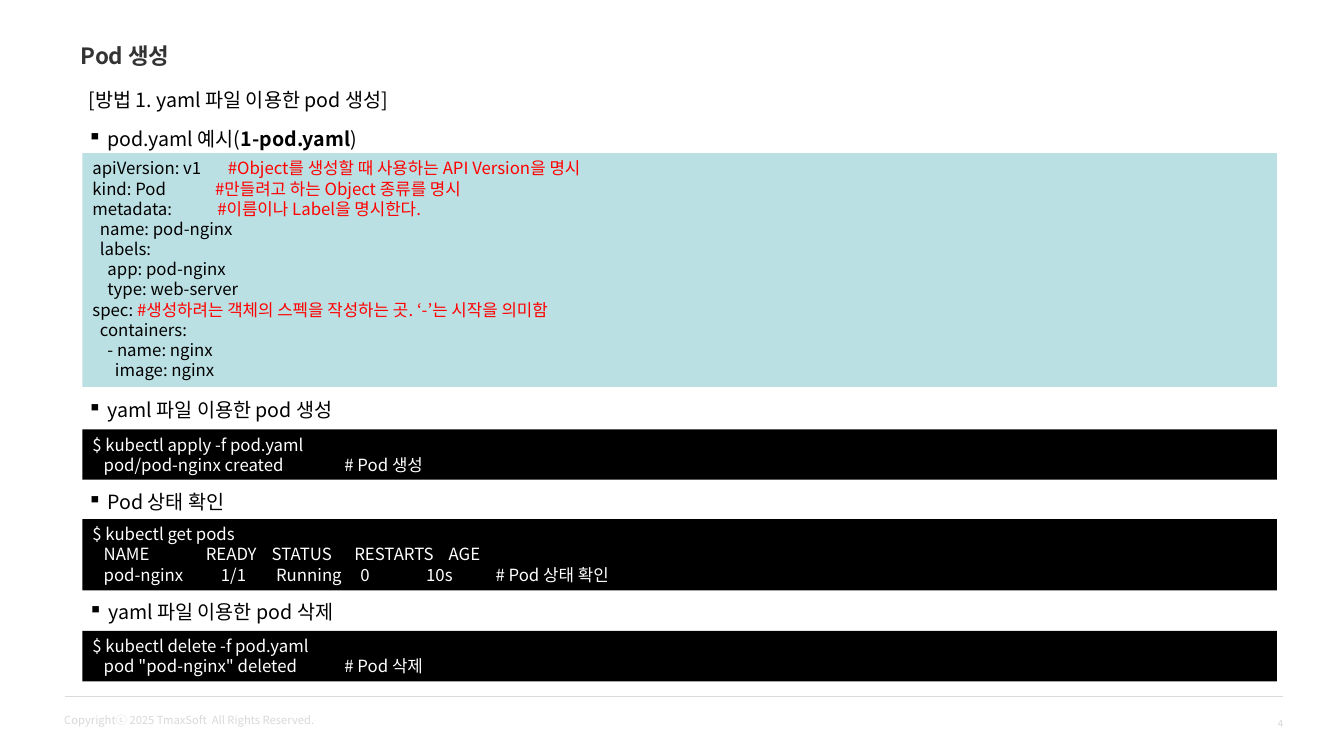
from dataclasses import dataclass
from typing import NamedTuple

from lxml.etree import SubElement
from pptx import Presentation
from pptx.dml.color import RGBColor
from pptx.enum.shapes import MSO_CONNECTOR, MSO_SHAPE
from pptx.enum.text import MSO_ANCHOR, MSO_AUTO_SIZE, PP_ALIGN
from pptx.oxml.ns import qn
from pptx.slide import Slide
from pptx.text.text import TextFrame
from pptx.util import Cm, Pt


@dataclass(frozen=True)
class Theme:
    font: str = "Noto Sans CJK KR"
    title: str = "333333"
    ink: str = "000000"
    paper: str = "FFFFFF"
    note: str = "FF0000"
    yaml: str = "BBE0E3"
    rule: str = "DBDBDB"
    foot: str = "D9D9D9"
    title_size: int = 16
    head_size: int = 14
    code_size: int = 12
    foot_size: int = 8
    page_size: int = 7


class Run(NamedTuple):
    text: str
    color: str
    bold: bool = False


class Box(NamedTuple):
    left: float
    top: float
    width: float
    height: float


class Head(NamedTuple):
    top: float
    runs: list[Run]
    space: float = 1.0
    bullet: bool = True
    left: float = 1.96


class Panel(NamedTuple):
    top: float
    height: float
    fill: str
    lines: list[list[Run]]


THEME = Theme()


def plain(text: str, color: str = THEME.ink) -> list[list[Run]]:
    """Turn each line of text into one run."""
    return [[Run(line, color)] for line in text.splitlines()]


def noted(text: str) -> list[list[Run]]:
    """Colour what follows the # of each line as a note."""
    lines = []
    for line in text.splitlines():
        code, mark, note = line.partition("#")
        runs = [Run(code, THEME.ink)]
        if mark:
            runs.append(Run(mark + note, THEME.note))
        lines.append(runs)
    return lines


YAML = """apiVersion: v1       #Object를 생성할 때 사용하는 API Version을 명시
kind: Pod             #만들려고 하는 Object 종류를 명시
metadata:            #이름이나 Label을 명시한다.
  name: pod-nginx
  labels:
    app: pod-nginx
    type: web-server
spec: #생성하려는 객체의 스펙을 작성하는 곳. ‘-’는 시작을 의미함
  containers:
    - name: nginx
      image: nginx"""

APPLY = """$ kubectl apply -f pod.yaml
   pod/pod-nginx created\t\t# Pod 생성"""

STATE = """$ kubectl get pods
   NAME               READY    STATUS      RESTARTS    AGE
   pod-nginx          1/1        Running     0               10s    \t# Pod 상태 확인"""

DELETE = """$ kubectl delete -f pod.yaml
   pod "pod-nginx" deleted\t# Pod 삭제"""

HEADS = [
    Head(1.98, [Run("[방법 1. yaml 파일 이용한 pod 생성]", THEME.ink)], 1.2, False, 1.98),
    Head(2.95, [Run("pod.yaml 예시(", THEME.ink), Run("1-pod.yaml", THEME.ink, True),
                Run(")", THEME.ink)], 1.2),
    Head(9.91, [Run("yaml 파일 이용한 pod 생성", THEME.ink)]),
    Head(12.22, [Run("Pod 상태 확인", THEME.ink)]),
    Head(14.99, [Run("yaml 파일 이용한 pod 삭제", THEME.ink)], left=1.98),
]

PANELS = [
    Panel(3.86, 5.89, THEME.yaml, noted(YAML)),
    Panel(10.82, 1.27, THEME.ink, plain(APPLY, THEME.paper)),
    Panel(13.08, 1.8, THEME.ink, plain(STATE, THEME.paper)),
    Panel(15.9, 1.27, THEME.ink, plain(DELETE, THEME.paper)),
]


def write(frame: TextFrame, lines: list[list[Run]], *, size: int,
          align: PP_ALIGN = PP_ALIGN.LEFT, anchor: MSO_ANCHOR = MSO_ANCHOR.TOP,
          wrap: bool = True, grow: bool = True, space: float = 1.0,
          bullet: bool = False) -> None:
    frame.word_wrap = wrap
    frame.auto_size = MSO_AUTO_SIZE.SHAPE_TO_FIT_TEXT if grow else MSO_AUTO_SIZE.NONE
    frame.vertical_anchor = anchor
    for i, line in enumerate(lines):
        para = frame.add_paragraph() if i else frame.paragraphs[0]
        para.alignment = align
        para.line_spacing = space
        if bullet:
            props = para._p.get_or_add_pPr()
            props.set("marL", str(Cm(0.5)))
            props.set("indent", str(-Cm(0.5)))
            SubElement(props, qn("a:buChar")).set("char", "▪")
        for item in line:
            run = para.add_run()
            run.text = item.text
            run.font.size = Pt(size)
            run.font.bold = item.bold
            run.font.name = THEME.font
            run.font.color.rgb = RGBColor.from_string(item.color)
            SubElement(run.font._element, qn("a:ea")).set("typeface", THEME.font)


def add_label(slide: Slide, box: Box, lines: list[list[Run]], **style) -> None:
    label = slide.shapes.add_textbox(*map(Cm, box))
    write(label.text_frame, lines, **style)


def add_title(slide: Slide, box: Box, text: str) -> None:
    title = slide.shapes.title
    title.left, title.top, title.width, title.height = map(Cm, box)
    write(title.text_frame, [[Run(text, THEME.title, True)]], size=THEME.title_size)


def add_panel(slide: Slide, panel: Panel) -> None:
    box = Box(2.08, panel.top, 30.1, panel.height)
    shape = slide.shapes.add_shape(MSO_SHAPE.RECTANGLE, *map(Cm, box))
    shape.shadow.inherit = False
    shape.fill.solid()
    shape.fill.fore_color.rgb = RGBColor.from_string(panel.fill)
    shape.line.fill.background()
    write(shape.text_frame, panel.lines, size=THEME.code_size)


def add_footer(slide: Slide) -> None:
    ends = map(Cm, (1.63, 17.55, 32.33, 17.55))
    rule = slide.shapes.add_connector(MSO_CONNECTOR.STRAIGHT, *ends)
    rule.line.color.rgb = RGBColor.from_string(THEME.rule)
    rule.line.width = Pt(0.5)
    SubElement(rule._element.spPr, qn("a:effectLst"))
    add_label(slide, Box(1.37, 17.86, 6.86, 0.61),
              plain("Copyrightⓒ 2025 TmaxSoft  All Rights Reserved.", THEME.foot),
              size=THEME.foot_size, wrap=False)
    add_label(slide, Box(29.92, 17.4, 2.67, 1.65), plain("4", THEME.foot),
              size=THEME.page_size, align=PP_ALIGN.RIGHT,
              anchor=MSO_ANCHOR.MIDDLE, grow=False)


def main() -> None:
    deck = Presentation()
    deck.slide_width, deck.slide_height = Cm(33.87), Cm(19.05)
    slide = deck.slides.add_slide(deck.slide_layouts[5])
    add_title(slide, Box(1.78, 0.94, 7.06, 0.94), "Pod 생성")
    add_footer(slide)
    for panel in PANELS:
        add_panel(slide, panel)
    for head in HEADS:
        add_label(slide, Box(head.left, head.top, 30.33, 0.89), [head.runs],
                  size=THEME.head_size, space=head.space, bullet=head.bullet)
    deck.save("out.pptx")


if __name__ == "__main__":
    main()
